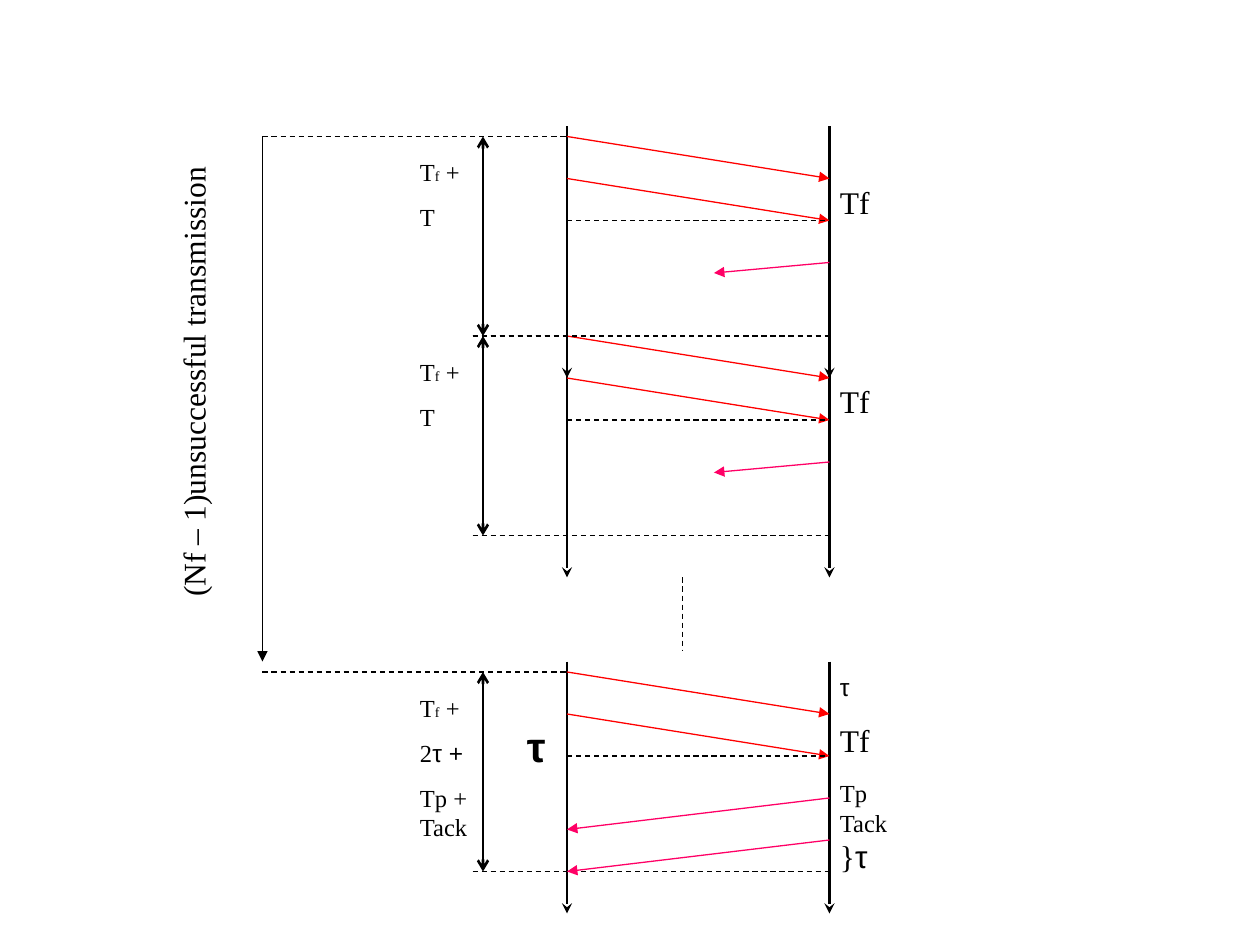
"""Build a sequence diagram of repeated frame transmissions."""
from pptx import Presentation
from pptx.dml.color import RGBColor
from pptx.enum.dml import MSO_LINE
from pptx.enum.shapes import MSO_CONNECTOR
from pptx.enum.text import MSO_ANCHOR
from pptx.oxml.ns import qn
from pptx.util import Cm, Pt
from lxml.etree import SubElement

BLACK = RGBColor(0x00, 0x00, 0x00)
RED = RGBColor(0xFF, 0x00, 0x00)
PINK = RGBColor(0xFF, 0x00, 0x66)
SERIF = "Times New Roman"
SANS = "Arial"
SENDER, RECEIVER = 54, 79
OUTER, INNER, MEASURE = 25, 45, 46
LEFT_LABEL, RIGHT_LABEL = 40, 80
FRAME_TIME = [("T", 14, SERIF), ("f", 8, SERIF), (" +", 14, SERIF)]
FRAME_MARK = [("Tf", 18, SERIF)]


def grid(steps):
    """Return the length of a number of twelfths of an inch."""
    return Cm(steps * 2.54 / 12)


class Diagram:
    """Draw lines and labels in one style on the current slide."""

    def __init__(self, slide):
        self.shapes = slide.shapes

    def line(self, start, end, color=BLACK, width=0.75, head=None, tail=None, dashed=False):
        """Draw a straight line with optional ends."""
        connector = self.shapes.add_connector(
            MSO_CONNECTOR.STRAIGHT, *map(grid, start + end))
        connector.line.color.rgb = color
        connector.line.width = Pt(width)
        if dashed:
            connector.line.dash_style = MSO_LINE.DASH
        outline = connector.line._get_or_add_ln()
        for tag, kind in (("a:headEnd", head), ("a:tailEnd", tail)):
            if kind:
                SubElement(outline, qn(tag), type=kind)
        SubElement(connector._element.spPr, qn("a:effectLst"))

    def dash(self, left, right, top):
        """Draw a dashed horizontal guide."""
        self.line((left, top), (right, top), dashed=True)

    def message(self, start, end, color):
        """Draw a message arrow."""
        self.line(start, end, color, tail="triangle")

    def label(self, place, paragraphs, padded=False, bold=False,
              anchor=MSO_ANCHOR.TOP, rotation=0):
        """Write paragraphs given as lists of text, size and font."""
        box = self.shapes.add_textbox(*map(grid, place))
        box.rotation = rotation
        frame = box.text_frame
        frame.word_wrap = True
        frame.vertical_anchor = anchor
        if not padded:
            frame.margin_left = frame.margin_right = 0
            frame.margin_top = frame.margin_bottom = 0
        for index, spans in enumerate(paragraphs):
            para = frame.add_paragraph() if index else frame.paragraphs[0]
            para.space_before = Pt(11.2 if spans[-1][1] == 18 else 8.8)
            for text, size, font in spans:
                span = para.add_run()
                span.text = text
                span.font.size = Pt(size)
                span.font.name = font
                span.font.bold = bold
                span.font.color.rgb = BLACK

    def cycle(self, top, guide_left):
        """Draw the parts shared by every transmission cycle."""
        for side in (SENDER, RECEIVER):
            self.line((side, top), (side, top + 24), width=1.5, tail="stealth")
        for offset in (1, 5):
            self.message((SENDER, top + offset), (RECEIVER, top + offset + 4), RED)
        self.dash(INNER, RECEIVER, top + 20)
        self.dash(SENDER, RECEIVER, top + 9)
        self.dash(guide_left, SENDER, top + 1)
        self.line((MEASURE, top + 1), (MEASURE, top + 20), width=1.5,
                  head="arrow", tail="arrow")

    def failed_cycle(self, top, guide_left):
        """Draw a cycle whose reply is lost."""
        self.cycle(top, guide_left)
        self.label((LEFT_LABEL, top + 3, 5, 11), [FRAME_TIME, [("T", 14, SERIF)]])
        self.label((RIGHT_LABEL, top + 1, 5, 8), [FRAME_MARK], anchor=MSO_ANCHOR.BOTTOM)
        self.message((RECEIVER, top + 13), (68, top + 14), PINK)

    def successful_cycle(self, top):
        """Draw a cycle that ends with an acknowledgement."""
        self.cycle(top, OUTER)
        self.label((LEFT_LABEL, top + 3, 5, 18), [
            FRAME_TIME,
            [("2", 14, SERIF), ("τ +", 14, SANS)],
            [("Tp + Tack", 14, SERIF)],
        ])
        self.label((49, top + 5, 4, 6), [[("τ", 24, SANS)]], padded=True, bold=True)
        self.label((RIGHT_LABEL, top + 1, 5, 19), [
            [("τ", 14, SANS)],
            FRAME_MARK,
            [("Tp Tack", 14, SERIF), ("}", 18, SERIF), ("τ", 18, SANS)],
        ])
        for offset in (13, 17):
            self.message((RECEIVER, top + offset), (SENDER, top + offset + 3), PINK)


def main():
    """Create and save the deck."""
    deck = Presentation()
    deck.slide_width, deck.slide_height = Cm(25.4), Cm(19.05)
    diagram = Diagram(deck.slides.add_slide(deck.slide_layouts[6]))
    diagram.failed_cycle(31, INNER)
    diagram.failed_cycle(12, OUTER)
    diagram.successful_cycle(63)
    diagram.line((65, 55), (65, 62), dashed=True)
    diagram.line((OUTER, 13), (OUTER, 63), width=1, tail="triangle")
    diagram.label((-3.6, 33.6, 44, 4.8),
                  [[("(Nf – 1)unsuccessful transmission", 18, SERIF)]],
                  padded=True, rotation=270)
    deck.save("out.pptx")


if __name__ == "__main__":
    main()
